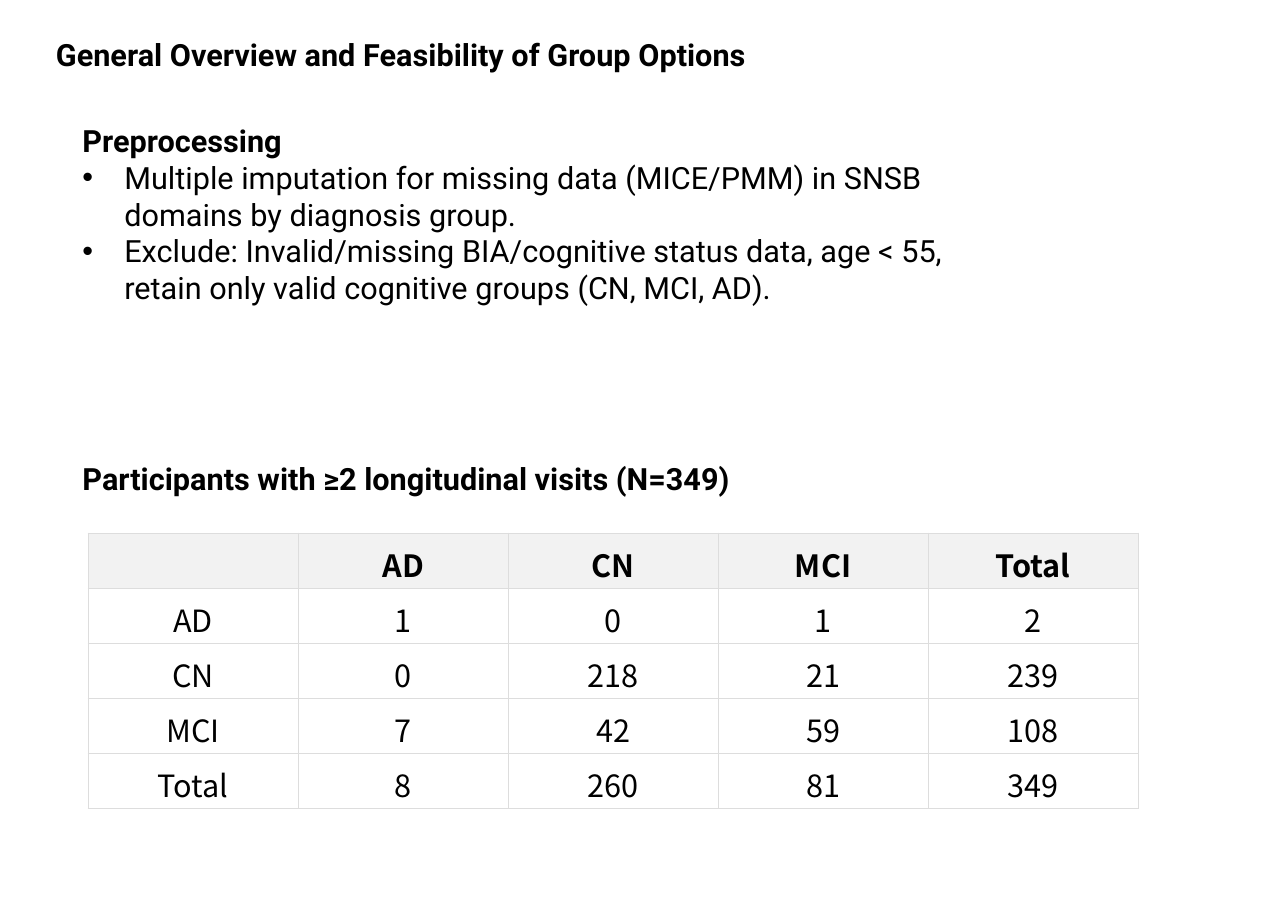
from lxml.etree import SubElement
from pptx import Presentation
from pptx.dml.color import RGBColor
from pptx.enum.text import MSO_ANCHOR, MSO_AUTO_SIZE, PP_ALIGN
from pptx.oxml.ns import qn
from pptx.util import Inches, Pt

BLACK = RGBColor(0x00, 0x00, 0x00)
HEADER_GRAY = RGBColor(0xF2, 0xF2, 0xF2)
BORDER_GRAY = RGBColor(0xDD, 0xDD, 0xDD)
TEXT_FONT = "Roboto"
TABLE_FONT = "Noto Sans CJK KR"
FONT_SIZE = 20

# (left, top, width, height), heading, bullets
TEXT_BLOCKS = [
    ((0.41, 0.28, 7.64, 0.44), "General Overview and Feasibility of Group Options", []),
    ((0.65, 1.06, 8.58, 1.78), "Preprocessing", [
        "Multiple imputation for missing data (MICE/PMM) in SNSB domains by diagnosis group.",
        "Exclude: Invalid/missing BIA/cognitive status data, age < 55, "
        "retain only valid cognitive groups (CN, MCI, AD).",
    ]),
    ((0.65, 4.13, 7.87, 0.44), "Participants with ≥2 longitudinal visits (N=349)", []),
]

TRANSITIONS = [
    ("", "AD", "CN", "MCI", "Total"),
    ("AD", 1, 0, 1, 2),
    ("CN", 0, 218, 21, 239),
    ("MCI", 7, 42, 59, 108),
    ("Total", 8, 260, 81, 349),
]
TABLE_LEFT, TABLE_TOP = 0.8, 4.84
COL_WIDTH, ROW_HEIGHT = 1.906, 0.5


def write(p, text, font, bold):
    r = p.add_run()
    r.text = text
    r.font.name = font
    r.font.size = Pt(FONT_SIZE)
    r.font.bold = bold
    r.font.color.rgb = BLACK


def add_bullet(p):
    """Give the paragraph a round bullet with a hanging indent."""
    pPr = p._p.get_or_add_pPr()
    pPr.set("marL", str(Inches(0.38)))
    pPr.set("indent", str(-Inches(0.38)))
    SubElement(pPr, qn("a:buFont"), typeface="Arial")
    SubElement(pPr, qn("a:buChar"), char="•")


def add_text_block(s, box, heading, bullets):
    tf = s.shapes.add_textbox(*map(Inches, box)).text_frame
    tf.word_wrap = True
    tf.auto_size = MSO_AUTO_SIZE.SHAPE_TO_FIT_TEXT
    write(tf.paragraphs[0], heading, TEXT_FONT, True)
    for bullet in bullets:
        p = tf.add_paragraph()
        add_bullet(p)
        write(p, bullet, TEXT_FONT, False)


def add_borders(cell):
    tcPr = cell._tc.get_or_add_tcPr()
    for side in ("lnL", "lnR", "lnT", "lnB"):
        ln = SubElement(tcPr, qn(f"a:{side}"), w=str(Pt(0.75)))
        fill = SubElement(ln, qn("a:solidFill"))
        SubElement(fill, qn("a:srgbClr"), val=str(BORDER_GRAY))


def format_cell(cell, value, is_header):
    cell.vertical_anchor = MSO_ANCHOR.MIDDLE
    cell.margin_left = cell.margin_right = cell.margin_top = Inches(0.08)
    cell.margin_bottom = Inches(0.02)
    add_borders(cell)
    if is_header:
        cell.fill.solid()
        cell.fill.fore_color.rgb = HEADER_GRAY
    else:
        cell.fill.background()
    p = cell.text_frame.paragraphs[0]
    p.alignment = PP_ALIGN.CENTER
    if value != "":
        write(p, str(value), TABLE_FONT, is_header)


def add_transition_table(s):
    n_rows, n_cols = len(TRANSITIONS), len(TRANSITIONS[0])
    table = s.shapes.add_table(
        n_rows, n_cols, Inches(TABLE_LEFT), Inches(TABLE_TOP),
        Inches(n_cols * COL_WIDTH), Inches(n_rows * ROW_HEIGHT)).table
    table.first_row = table.horz_banding = False
    for i, row in enumerate(TRANSITIONS):
        for j, value in enumerate(row):
            format_cell(table.cell(i, j), value, is_header=i == 0)


def main():
    prs = Presentation()
    prs.slide_width, prs.slide_height = Inches(11.69), Inches(8.27)
    s = prs.slides.add_slide(prs.slide_layouts[6])
    for block in TEXT_BLOCKS:
        add_text_block(s, *block)
    add_transition_table(s)
    prs.save("out.pptx")


if __name__ == "__main__":
    main()
